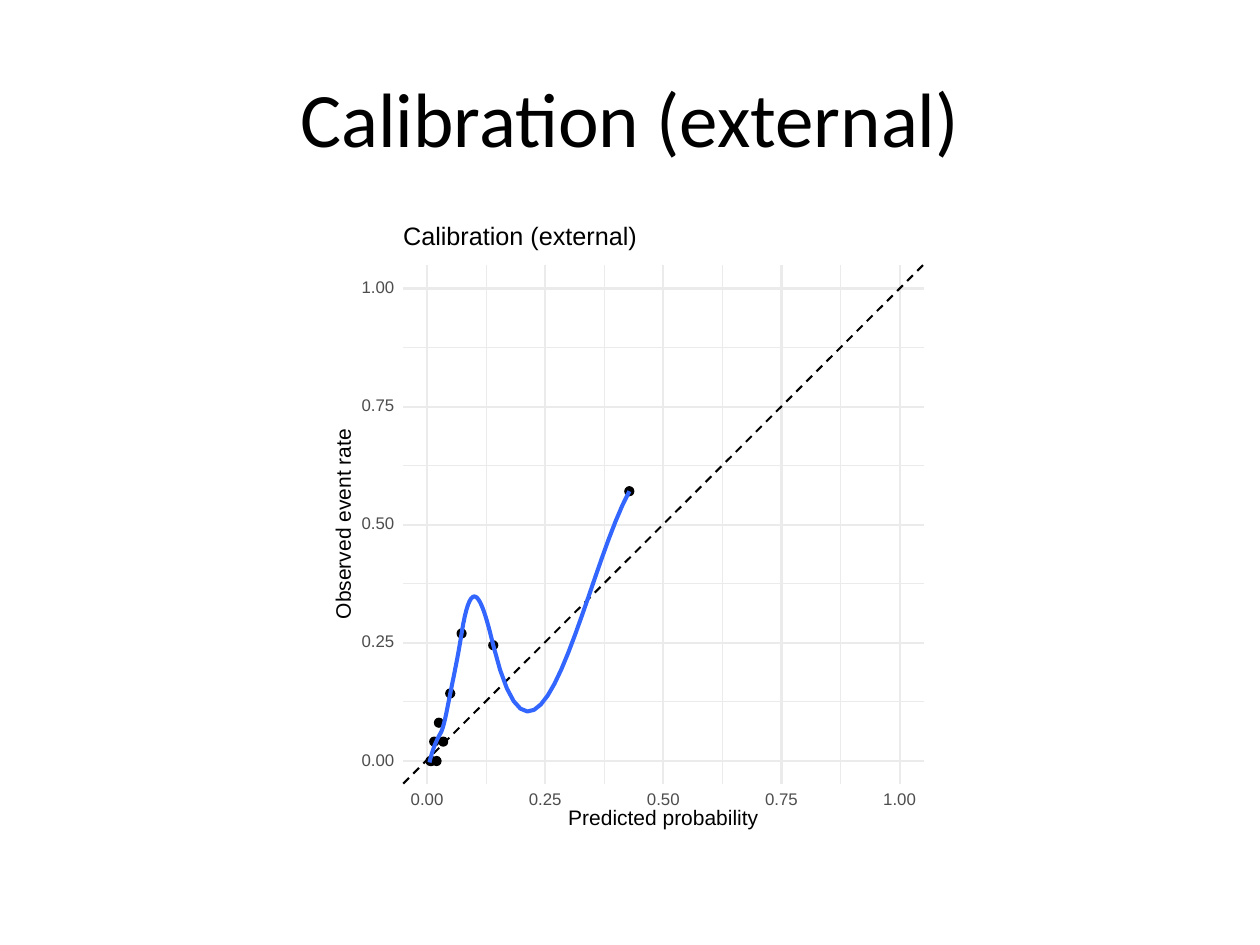
"""Build a slide with a calibration plot of observed against predicted rates."""
from pptx import Presentation
from pptx.dml.color import RGBColor
from pptx.enum.dml import MSO_LINE
from pptx.enum.shapes import MSO_CONNECTOR, MSO_SHAPE
from pptx.enum.text import MSO_ANCHOR as ANCHOR, PP_ALIGN as ALIGN
from pptx.oxml.ns import qn
from pptx.util import Inches, Pt
from itertools import pairwise
from lxml import etree

TITLE = "Calibration (external)"
BLACK, WHITE, GRID, TICK, BLUE = "000000", "FFFFFF", "EBEBEB", "4D4D4D", "3366FF"

LEFT, RIGHT, TOP, BOTTOM = 3.2, 7.33, 2.1, 6.22
ORIGIN_X, ORIGIN_Y, SCALE = 3.39, 6.04, 3.75
MAJOR = [i / 4 for i in range(5)]
MINOR = [v + 0.125 for v in MAJOR[:-1]]
THIN, THICK = 0.58, 1.16
DOT = 0.07
TICK_WIDTH, TICK_HEIGHT = 0.26, 0.1

POINTS_PERCENT = [
    (0.7, 0), (0.9, 0), (1.5, 4.1), (2, 0), (2.5, 8.1),
    (3.4, 4.1), (4.9, 14.3), (7.3, 27), (14, 24.5), (42.8, 57.1),
]
LOW_KNOTS = [(0.5, -0.3, 4.2), (2.9, 6, 1.8)]
POINT_SLOPES = [5, 6.3, -4.1, 1.85]
STEPS_PER_SEGMENT = 20


def rgb(value):
    """Return the colour for a hex string."""
    return RGBColor.from_string(value)


def x_at(value):
    """Return the slide position in inches of a predicted probability."""
    return ORIGIN_X + SCALE * value


def y_at(value):
    """Return the slide position in inches of an observed rate."""
    return ORIGIN_Y - SCALE * value


def hermite(start, end, t):
    """Return the point at t on the cubic between two (x, y, slope) knots."""
    (x0, y0, slope0), (x1, y1, slope1) = start, end
    width = x1 - x0
    weight = t * t * (3 - 2 * t)
    bend = t * (1 - t) * ((1 - t) * slope0 - t * slope1)
    return x0 + t * width, y0 + weight * (y1 - y0) + width * bend


def fitted_curve():
    """Return the smooth curve in percent through the knots and last points."""
    last_points = POINTS_PERCENT[-len(POINT_SLOPES):]
    knots = LOW_KNOTS + [(x, y, m) for (x, y), m in zip(last_points, POINT_SLOPES)]
    curve = [knots[0][:2]]
    for start, end in pairwise(knots):
        for i in range(1, STEPS_PER_SEGMENT + 1):
            curve.append(hermite(start, end, i / STEPS_PER_SEGMENT))
    return curve


def set_line(line, color, width):
    """Set the colour and the width in points of a line."""
    line.color.rgb = rgb(color)
    line.width = Pt(width)


def add_filled(shapes, kind, box, fill, line=None, width=0.75):
    """Add a filled preset shape with an optional outline."""
    sp = shapes.add_shape(kind, *map(Inches, box))
    sp.shadow.inherit = False
    sp.fill.solid()
    sp.fill.fore_color.rgb = rgb(fill)
    if line:
        set_line(sp.line, line, width)
    else:
        sp.line.fill.background()


def add_line(shapes, ends, color, width, dash=None):
    """Add a straight line between two points."""
    ln = shapes.add_connector(MSO_CONNECTOR.STRAIGHT, *map(Inches, ends))
    set_line(ln.line, color, width)
    if dash:
        ln.line.dash_style = dash
    etree.SubElement(ln._element.spPr, qn("a:effectLst"))


def add_curve(shapes, points, color, width):
    """Add an open outline through the points."""
    start, *rest = [(Inches(x), Inches(y)) for x, y in points]
    builder = shapes.build_freeform(*start)
    builder.add_line_segments(rest, close=False)
    sp = builder.convert_to_shape()
    sp.shadow.inherit = False
    sp.fill.background()
    set_line(sp.line, color, width)


def add_text(shapes, text, box, size, color=BLACK, font="Arial", rotation=0):
    """Add a one-line text box without margins and return it."""
    sp = shapes.add_textbox(*map(Inches, box))
    sp.rotation = rotation
    tf = sp.text_frame
    tf.word_wrap = False
    tf.vertical_anchor = ANCHOR.MIDDLE
    tf.margin_left = tf.margin_right = tf.margin_top = tf.margin_bottom = 0
    p = tf.paragraphs[0]
    p.line_spacing = Pt(size)
    r = p.add_run()
    r.text = text
    r.font.size = Pt(size)
    r.font.name = font
    r.font.color.rgb = rgb(color)
    return sp


def add_title(shapes):
    """Add the centred slide title."""
    sp = add_text(shapes, TITLE, (0.5, 0.3, 9, 1.25), 44, font="Calibri")
    sp.text_frame.word_wrap = True
    p = sp.text_frame.paragraphs[0]
    p.alignment = ALIGN.CENTER
    p.line_spacing = 1.0


def add_grid(shapes):
    """Add the minor and then the major grid lines."""
    for values, width in ((MINOR, THIN), (MAJOR, THICK)):
        for v in values:
            add_line(shapes, (LEFT, y_at(v), RIGHT, y_at(v)), GRID, width)
        for v in values:
            add_line(shapes, (x_at(v), BOTTOM, x_at(v), TOP), GRID, width)


def add_data(shapes):
    """Add the diagonal, the observed points and the fitted curve."""
    add_line(shapes, (LEFT, BOTTOM, RIGHT, TOP), BLACK, THICK, MSO_LINE.DASH)
    for px, py in POINTS_PERCENT:
        box = (x_at(px / 100) - DOT / 2, y_at(py / 100) - DOT / 2, DOT, DOT)
        add_filled(shapes, MSO_SHAPE.OVAL, box, BLACK, BLACK, 0.77)
    curve = [(x_at(px / 100), y_at(py / 100)) for px, py in fitted_curve()]
    add_curve(shapes, curve, BLUE, 2.33)


def add_labels(shapes):
    """Add the tick labels, the axis titles and the plot title."""
    y_ticks = [(v, 2.87, y_at(v) - TICK_HEIGHT / 2) for v in MAJOR]
    x_ticks = [(v, x_at(v) - TICK_WIDTH / 2, 6.3) for v in MAJOR]
    for v, left, top in y_ticks + x_ticks:
        add_text(shapes, f"{v:.2f}", (left, top, TICK_WIDTH, TICK_HEIGHT), 9.6, TICK)
    add_text(shapes, "Predicted probability", (4.51, 6.43, 1.51, 0.15), 12)
    add_text(shapes, "Observed event rate", (1.98, 4.1, 1.51, 0.12), 12, rotation=270)
    add_text(shapes, TITLE, (LEFT, 1.79, 1.86, 0.19), 14.4)


def main():
    """Build and save the slide."""
    prs = Presentation()
    prs.slide_width, prs.slide_height = Inches(10), Inches(7.5)
    s = prs.slides.add_slide(prs.slide_layouts[6])
    add_title(s.shapes)
    plot = s.shapes.add_group_shape().shapes
    add_filled(plot, MSO_SHAPE.RECTANGLE, (0.5, 1.75, 9, 4.95), WHITE, WHITE)
    add_filled(plot, MSO_SHAPE.RECTANGLE, (2.59, 1.75, 4.82, 4.95), WHITE)
    add_grid(plot)
    add_data(plot)
    add_labels(plot)
    prs.save("out.pptx")


if __name__ == "__main__":
    main()
